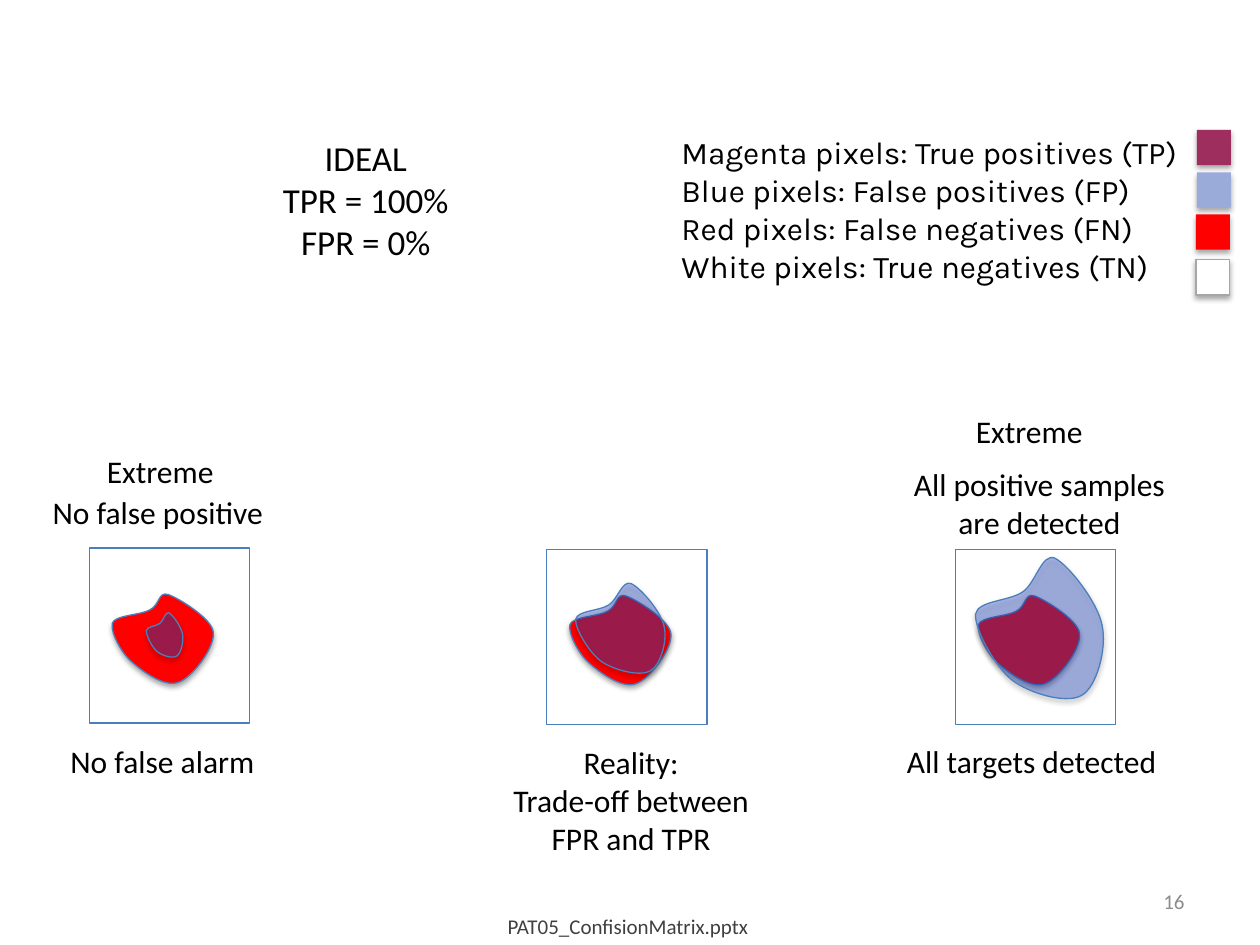
from dataclasses import dataclass

import lxml.etree
import pptx
import pptx.dml.color
import pptx.enum.shapes
import pptx.enum.text
import pptx.oxml.ns
import pptx.util

Pt = pptx.util.Pt
qn = pptx.oxml.ns.qn
ALIGN = pptx.enum.text.PP_ALIGN
RECTANGLE = pptx.enum.shapes.MSO_SHAPE.RECTANGLE

OUTLINE_BLUE = "4B7EBC"
DETECTION_BLUE = "2249CD"
RED = "FF0000"
WHITE = "FFFFFF"

TARGET_OUTLINE = [
    (0.37, 0.17), (0.47, 0.11), (0.45, -0.04), (0.55, 0),
    (0.65, 0.04), (0.98, 0.27), (0.99, 0.42),
    (1.01, 0.59), (0.78, 0.93), (0.65, 0.98),
    (0.52, 1.04), (0.31, 0.87), (0.2, 0.76),
    (0.09, 0.66), (-0.02, 0.42), (0, 0.32),
    (0.02, 0.23), (0.28, 0.23), (0.37, 0.17),
]
DETECTION_OUTLINE = [
    (0.37, 0.24), (0.47, 0.18), (0.52, -0.04), (0.62, 0),
    (0.73, 0.05), (0.96, 0.32), (0.99, 0.48),
    (1.03, 0.64), (0.95, 0.92), (0.83, 0.98),
    (0.7, 1.05), (0.37, 0.95), (0.26, 0.85),
    (0.14, 0.75), (-0.01, 0.5), (0, 0.4),
    (0.02, 0.3), (0.26, 0.31), (0.37, 0.24),
]


@dataclass
class Box:
    left: float
    top: float
    width: float
    height: float

    def lengths(self) -> list:
        return [Pt(v) for v in (self.left, self.top, self.width, self.height)]


@dataclass
class Label:
    box: Box
    text: str
    size: int = 18
    align: ALIGN = ALIGN.LEFT
    font: str = "Calibri"
    color: str = "000000"
    wrap: bool = False


@dataclass
class Scene:
    frame: Box
    detection: Box


@dataclass
class Swatch:
    left: float
    top: float
    fill: str
    line: str = ""


SCENES = [
    Scene(Box(51, 313.2, 91.5, 100), Box(83.6, 350.2, 20.9, 25.2)),
    Scene(Box(312.5, 314, 91.5, 100), Box(329, 333.5, 51, 51)),
    Scene(Box(546, 314, 91.5, 100), Box(557.5, 319, 73, 80)),
]
SWATCHES = [
    Swatch(684, 74.2, "9D2E5D"),
    Swatch(684, 98.5, "9AABDA"),
    Swatch(683.4, 122.5, RED),
    Swatch(683.4, 148.3, WHITE, "A6A6A6"),
]
LABELS = [
    Label(Box(154, 74.2, 110, 104.4), "IDEAL\nTPR = 100%\nFPR = 0%", 20, ALIGN.CENTER),
    Label(
        Box(382.3, 72.7, 298.8, 94.3),
        "Magenta pixels: True positives (TP)\n"
        "Blue pixels: False positives (FP)\n"
        "Red pixels: False negatives (FN)\n"
        "White pixels: True negatives (TN)",
        font="Karla",
    ),
    Label(Box(54, 254.9, 76.3, 29), "Extreme"),
    Label(Box(23, 277.9, 136, 29), "No false positive"),
    Label(Box(33.1, 420.5, 121, 29), "No false alarm"),
    Label(Box(285.1, 421.2, 151, 72.7),
          "Reality:\nTrade-off between\nFPR and TPR", align=ALIGN.CENTER),
    Label(Box(550, 231.8, 76.3, 29), "Extreme", align=ALIGN.CENTER),
    Label(Box(514, 262, 160, 51), "All positive samples\nare detected", align=ALIGN.CENTER),
    Label(Box(511.2, 420.5, 158.4, 29), "All targets detected"),
    Label(Box(516.2, 500.4, 167.8, 28.8), "16", 12, ALIGN.RIGHT, color="8C8C8C", wrap=True),
    Label(Box(283, 518.4, 153.4, 21.6), "PAT05_ConfisionMatrix.pptx", 12, color="404040"),
]


def rgb(color: str) -> pptx.dml.color.RGBColor:
    return pptx.dml.color.RGBColor.from_string(color)


def paint(shape, fill: str, line: str = "") -> None:
    shape.fill.solid()
    shape.fill.fore_color.rgb = rgb(fill)
    if line:
        shape.line.color.rgb = rgb(line)
        shape.line.width = Pt(0.75)
    else:
        shape.line.fill.background()
    shape.shadow.inherit = False


def add_shadow(shape) -> None:
    effects = shape.element.spPr.find(qn("a:effectLst"))
    shadow = lxml.etree.SubElement(
        effects, qn("a:outerShdw"), blurRad=str(Pt(3.1)), dist=str(Pt(1.8)),
        dir="5400000", rotWithShape="0",
    )
    color = lxml.etree.SubElement(shadow, qn("a:srgbClr"), val="000000")
    lxml.etree.SubElement(color, qn("a:alpha"), val="35000")


def set_opacity(shape, percent: int) -> None:
    color = shape.element.spPr.find(qn("a:solidFill")).find(qn("a:srgbClr"))
    lxml.etree.SubElement(color, qn("a:alpha"), val=str(percent * 1000))


def curve_segments(shape) -> None:
    segments = list(shape.element.iter(qn("a:lnTo")))
    for first, second, third in zip(segments[::3], segments[1::3], segments[2::3]):
        curve = lxml.etree.Element(qn("a:cubicBezTo"))
        first.addprevious(curve)
        for segment in (first, second, third):
            curve.append(segment[0])
            segment.getparent().remove(segment)


def add_region(shapes, box: Box, outline: list, fill: str):
    points = [
        (Pt(box.left + x * box.width), Pt(box.top + y * box.height)) for x, y in outline
    ]
    builder = shapes.build_freeform(*points[0], scale=1.0)
    builder.add_line_segments(points[1:], close=True)
    region = builder.convert_to_shape()
    curve_segments(region)
    paint(region, fill, OUTLINE_BLUE)
    add_shadow(region)
    return region


def add_scene(slide, scene: Scene) -> None:
    shapes = slide.shapes.add_group_shape().shapes
    frame = shapes.add_shape(RECTANGLE, *scene.frame.lengths())
    paint(frame, WHITE, OUTLINE_BLUE)
    target = Box(scene.frame.left + 13.2, scene.frame.top + 26.6, 58.3, 51.1)
    add_region(shapes, target, TARGET_OUTLINE, RED)
    detection = add_region(shapes, scene.detection, DETECTION_OUTLINE, DETECTION_BLUE)
    set_opacity(detection, 36)


def add_swatch(slide, swatch: Swatch) -> None:
    box = Box(swatch.left, swatch.top, 19.4, 20.2)
    square = slide.shapes.add_shape(RECTANGLE, *box.lengths())
    paint(square, swatch.fill, swatch.line)
    add_shadow(square)


def add_label(slide, label: Label) -> None:
    frame = slide.shapes.add_textbox(*label.box.lengths()).text_frame
    frame.word_wrap = label.wrap
    if label.wrap:
        frame.vertical_anchor = pptx.enum.text.MSO_ANCHOR.MIDDLE
    else:
        frame.auto_size = pptx.enum.text.MSO_AUTO_SIZE.SHAPE_TO_FIT_TEXT
    frame.text = label.text
    for paragraph in frame.paragraphs:
        paragraph.alignment = label.align
        for run in paragraph.runs:
            run.font.name = label.font
            run.font.size = Pt(label.size)
            run.font.color.rgb = rgb(label.color)


def main() -> None:
    deck = pptx.Presentation()
    deck.slide_width, deck.slide_height = Pt(720), Pt(540)
    slide = deck.slides.add_slide(deck.slide_layouts[6])
    for scene in SCENES:
        add_scene(slide, scene)
    for swatch in SWATCHES:
        add_swatch(slide, swatch)
    for label in LABELS:
        add_label(slide, label)
    deck.save("out.pptx")


if __name__ == "__main__":
    main()
